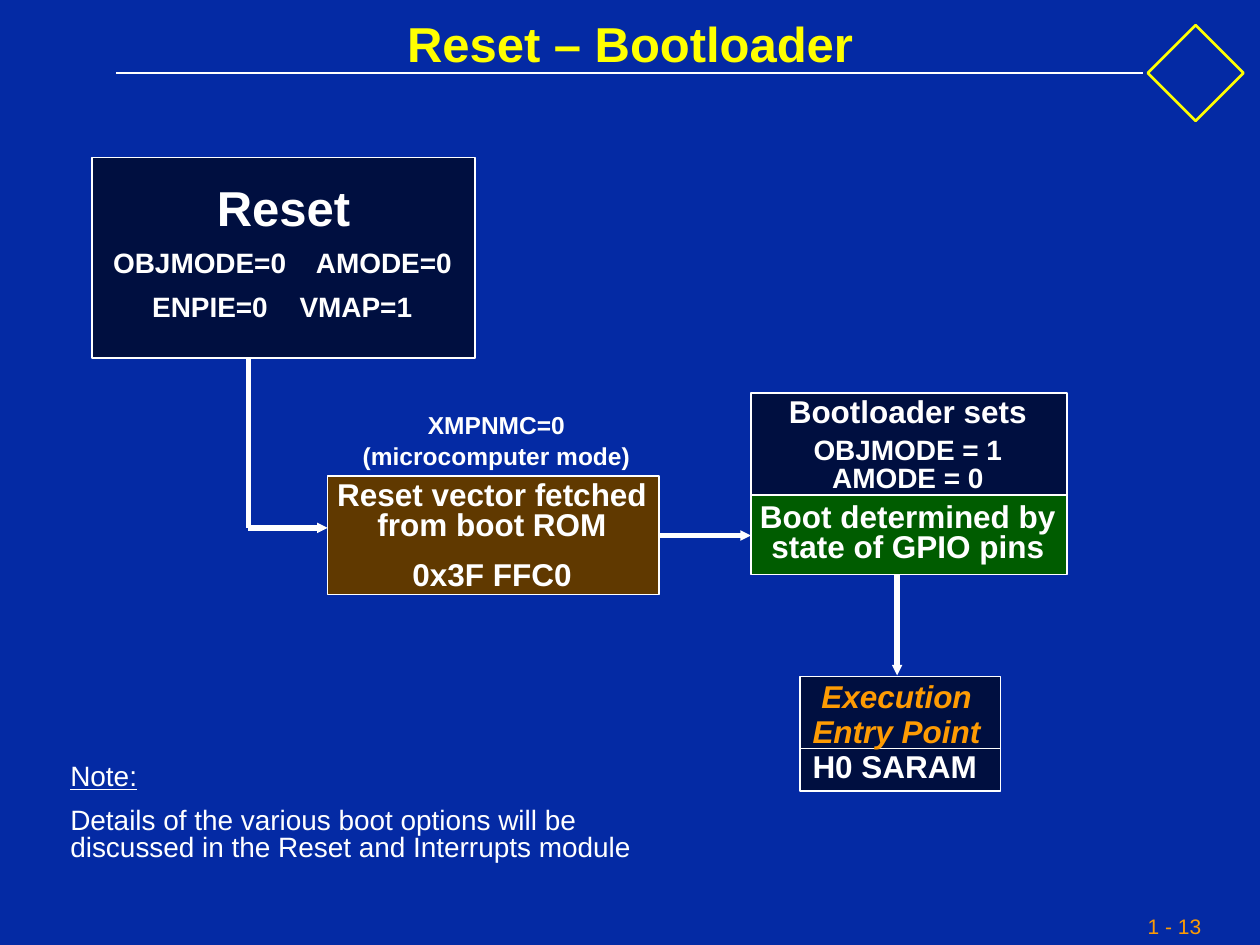
from dataclasses import dataclass

from lxml.etree import SubElement
from pptx import Presentation
from pptx.dml.color import RGBColor
from pptx.enum.shapes import MSO_CONNECTOR, MSO_SHAPE
from pptx.enum.text import PP_ALIGN
from pptx.oxml.ns import qn
from pptx.slide import Slide
from pptx.util import Inches, Pt

COLORS = {
    "background": "042AA4",
    "white": "FFFFFF",
    "yellow": "FFFF00",
    "orange": "FE9B03",
    "navy": "000F40",
    "green": "005C00",
    "brown": "603900",
}


@dataclass
class Panel:
    left: float
    top: float
    width: float
    height: float
    fill: str


@dataclass
class Line:
    start: tuple[float, float]
    end: tuple[float, float]
    weight: float = 3
    arrow: bool = False


@dataclass
class Para:
    text: str
    size: float
    spacing: float = 0.8
    before: float = 0
    color: str = "white"
    bold: bool = True
    italic: bool = False
    underline: bool = False
    centered: bool = True
    indent: float = 0
    tabs: tuple[float, ...] = ()


@dataclass
class Label:
    left: float
    top: float
    width: float
    height: float
    paras: list[Para]
    wrap: bool = True


PANELS = [
    Panel(0.73, 1.25, 3.04, 1.59, "navy"),
    Panel(5.96, 3.93, 2.51, 0.63, "green"),
    Panel(2.6, 3.78, 2.63, 0.94, "brown"),
    Panel(6.35, 5.37, 1.59, 0.91, "navy"),
    Panel(5.96, 3.12, 2.51, 0.81, "navy"),
]

LINES = [
    Line((0.92, 0.58), (9.07, 0.58), 1),
    Line((6.35, 5.94), (7.94, 5.94), 1),
    Line((5.23, 4.25), (5.96, 4.25), arrow=True),
    Line((1.97, 4.19), (2.6, 4.19), arrow=True),
    Line((1.97, 4.19), (1.97, 2.85)),
    Line((7.12, 4.56), (7.12, 5.36), arrow=True),
]

LABELS = [
    Label(0, 0.17, 10, 0.67, [Para("Reset – Bootloader", 28, 0.75, color="yellow")]),
    Label(9.01, 7.2, 0.9, 0.3, [
        Para("1 - 13", 12, 1, color="orange", bold=False, centered=False)]),
    Label(0.8, 1.45, 2.9, 0.5, [Para("Reset", 28)]),
    Label(0.8, 1.95, 3, 0.68, [
        Para("OBJMODE=0\tAMODE=0", 16, centered=False, tabs=(1.61,)),
        Para("\tENPIE=0\tVMAP=1", 16, before=10, centered=False, tabs=(0.31, 1.48)),
    ]),
    Label(5.86, 3.95, 2.69, 0.58, [Para("Boot determined by state of GPIO pins", 18)]),
    Label(2.36, 3.78, 3.09, 0.98, [
        Para("Reset vector fetched from boot ROM", 18),
        Para("0x3F FFC0", 18, before=11.2),
    ]),
    Label(2.78, 3.31, 2.32, 0.46, [
        Para("XMPNMC=0", 14, 0.5),
        Para("(microcomputer mode)", 14, 0.5, 8.8),
    ], wrap=False),
    Label(6.35, 5.48, 1.59, 0.78, [
        Para("Execution", 18, 0.4, color="orange", italic=True, centered=False, indent=0.07),
        Para("Entry Point", 18, 0.4, 11.2, "orange", italic=True, centered=False),
        Para("H0 SARAM", 18, 0.4, 11.2, centered=False),
    ]),
    Label(0.46, 6.02, 4.75, 0.88, [
        Para("Note:", 16, bold=False, underline=True, centered=False),
        Para("Details of the various boot options will be discussed in the "
             "Reset and Interrupts module", 16, before=10, bold=False, centered=False),
    ]),
    Label(5.86, 3.12, 2.69, 0.82, [
        Para("Bootloader sets", 18),
        Para("OBJMODE = 1", 16, 0.5, 10),
        Para("AMODE = 0", 16, 0.25, 10),
    ]),
]


def rgb(name: str) -> RGBColor:
    """Return the named colour."""
    return RGBColor.from_string(COLORS[name])


def draw_panel(slide: Slide, panel: Panel) -> None:
    """Draw a filled box with a thin white border."""
    box = slide.shapes.add_shape(
        MSO_SHAPE.RECTANGLE, Inches(panel.left), Inches(panel.top),
        Inches(panel.width), Inches(panel.height))
    box.shadow.inherit = False
    box.fill.solid()
    box.fill.fore_color.rgb = rgb(panel.fill)
    box.line.color.rgb = rgb("white")
    box.line.width = Pt(1)


def draw_emblem(slide: Slide) -> None:
    """Draw the plain diamond in the top corner."""
    emblem = slide.shapes.add_shape(
        MSO_SHAPE.DIAMOND, Inches(9.11), Inches(0.2), Inches(0.76), Inches(0.76))
    emblem.shadow.inherit = False
    emblem.fill.background()
    emblem.line.color.rgb = rgb("yellow")
    emblem.line.width = Pt(1.5)


def draw_line(slide: Slide, line: Line) -> None:
    """Draw a straight white line, with an arrowhead if asked."""
    connector = slide.shapes.add_connector(
        MSO_CONNECTOR.STRAIGHT, *map(Inches, line.start + line.end))
    connector.line.color.rgb = rgb("white")
    connector.line.width = Pt(line.weight)
    if line.arrow:
        SubElement(connector.line._get_or_add_ln(), qn("a:tailEnd"),
                   type="triangle", w="sm", len="sm")
    SubElement(connector._element.spPr, qn("a:effectLst"))


def draw_label(slide: Slide, label: Label) -> None:
    """Draw a text box with its paragraphs."""
    frame = slide.shapes.add_textbox(
        Inches(label.left), Inches(label.top),
        Inches(label.width), Inches(label.height)).text_frame
    frame.word_wrap = label.wrap
    for index, para in enumerate(label.paras):
        paragraph = frame.add_paragraph() if index else frame.paragraphs[0]
        properties = paragraph._p.get_or_add_pPr()
        if para.indent:
            properties.set("marL", str(Inches(para.indent)))
        if para.tabs:
            stops = SubElement(properties, qn("a:tabLst"))
            for stop in para.tabs:
                SubElement(stops, qn("a:tab"), pos=str(Inches(stop)), algn="l")
        paragraph.alignment = PP_ALIGN.CENTER if para.centered else PP_ALIGN.LEFT
        paragraph.line_spacing = para.spacing
        if para.before:
            paragraph.space_before = Pt(para.before)
        run = paragraph.add_run()
        run.text = para.text
        run.font.name = "Arial"
        run.font.size = Pt(para.size)
        run.font.bold = para.bold
        run.font.italic = para.italic
        run.font.underline = para.underline
        run.font.color.rgb = rgb(para.color)


def main() -> None:
    """Build the bootloader slide."""
    deck = Presentation()
    deck.slide_width, deck.slide_height = Inches(10), Inches(7.5)
    slide = deck.slides.add_slide(deck.slide_layouts[6])
    slide.background.fill.solid()
    slide.background.fill.fore_color.rgb = rgb("background")
    draw_emblem(slide)
    for panel in PANELS:
        draw_panel(slide, panel)
    for line in LINES:
        draw_line(slide, line)
    for label in LABELS:
        draw_label(slide, label)
    deck.save("out.pptx")


if __name__ == "__main__":
    main()
